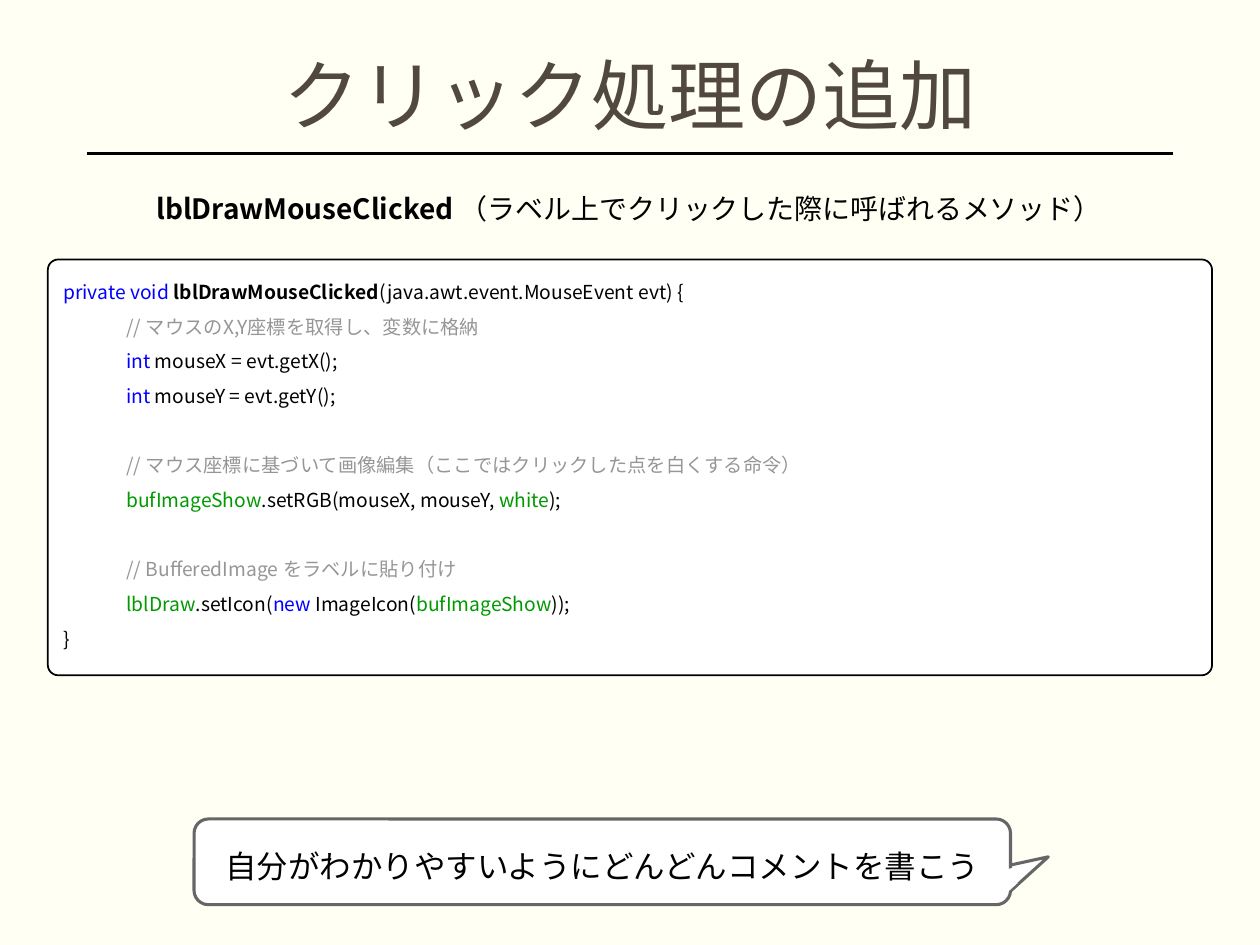
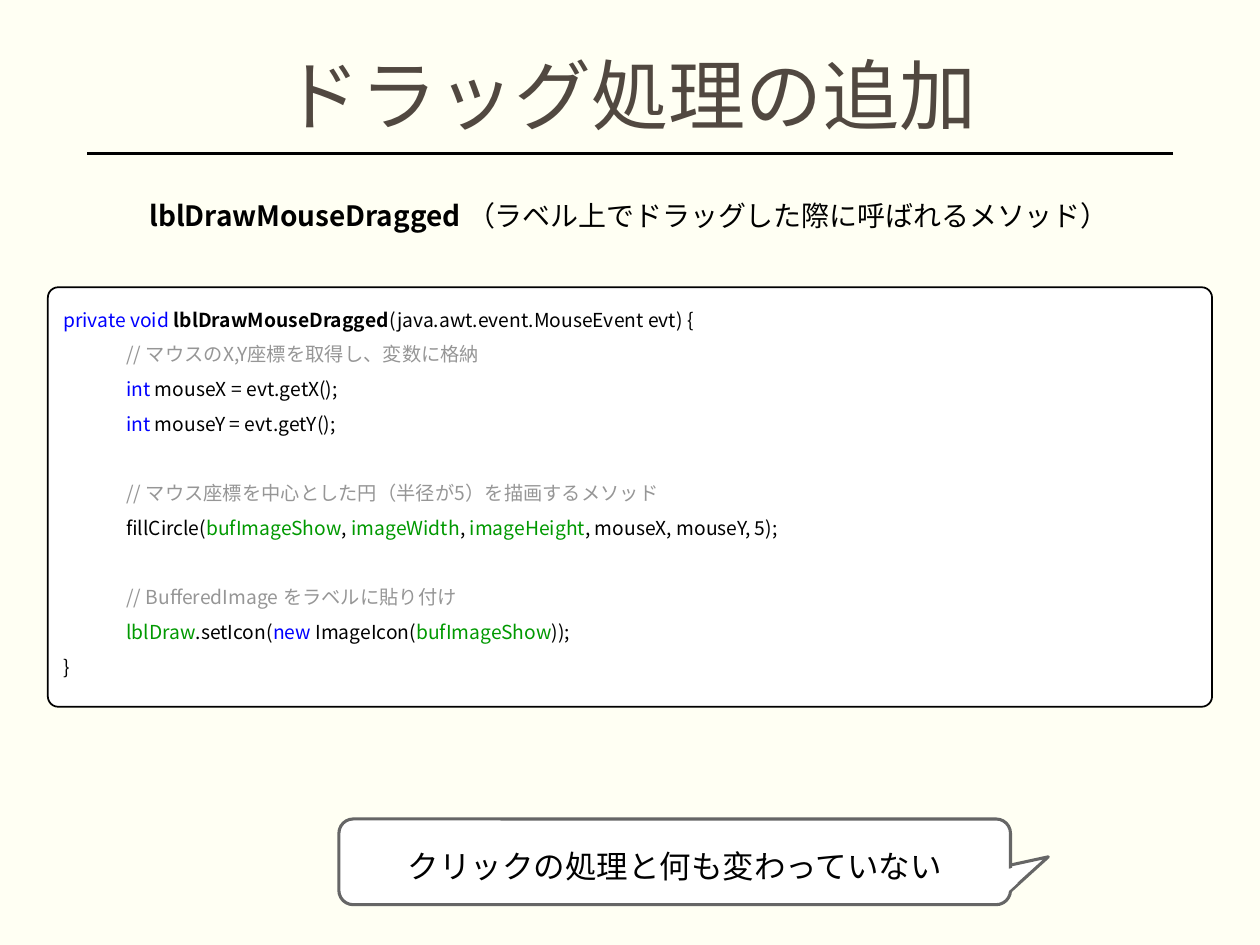
"""Build two slides that explain mouse click and drag handlers."""
from dataclasses import dataclass

from lxml import etree
from pptx import Presentation
from pptx.dml.color import RGBColor
from pptx.enum.shapes import MSO_CONNECTOR, MSO_SHAPE
from pptx.enum.text import MSO_ANCHOR, PP_ALIGN
from pptx.oxml.ns import qn
from pptx.util import Pt

PX = 9144
BLANK_LAYOUT = 6
STRAIGHT = MSO_CONNECTOR.STRAIGHT
RECT, ROUND_RECT = MSO_SHAPE.RECTANGLE, MSO_SHAPE.ROUNDED_RECTANGLE
TOP, MIDDLE = MSO_ANCHOR.TOP, MSO_ANCHOR.MIDDLE
LEFT, CENTER = PP_ALIGN.LEFT, PP_ALIGN.CENTER


@dataclass(frozen=True)
class Theme:
    """Font, colours and type sizes that the slides share."""
    font: str = "Noto Sans CJK JP"
    background: str = "FFFFF3"
    title: str = "514840"
    ink: str = "000000"
    paper: str = "FFFFFF"
    callout_edge: str = "666666"
    keyword: str = "0000FF"
    comment: str = "969696"
    field: str = "009900"
    title_size: int = 44
    callout_size: int = 18
    heading_size: int = 16
    code_size: int = 11
    code_gap: float = 19.8


THEME = Theme()


def rgb(value):
    """Turn a hex string into a colour."""
    return RGBColor.from_string(value)


def px(*lengths):
    """Turn px lengths into EMU."""
    return [length * PX for length in lengths]


def add_run(paragraph, text, size, color=THEME.ink, bold=False):
    """Append one styled run to a paragraph."""
    run = paragraph.add_run()
    run.text = text
    font = run.font
    font.size, font.bold, font.name = Pt(size), bold, THEME.font
    font.color.rgb = rgb(color)
    east_asian = etree.SubElement(run._r.get_or_add_rPr(), qn("a:ea"))
    east_asian.set("typeface", THEME.font)


def set_frame(frame, anchor=TOP, wrap=True, top=5):
    """Set the anchor, wrapping and insets of a text frame."""
    frame.word_wrap, frame.vertical_anchor = wrap, anchor
    frame.margin_left, frame.margin_top, frame.margin_right, frame.margin_bottom = px(10, top, 10, 5)


def paint(shape, edge=None, width=1.0):
    """Fill a shape with paper colour and give it an edge or none."""
    shape.shadow.inherit = False
    shape.fill.solid()
    shape.fill.fore_color.rgb = rgb(THEME.paper)
    if edge:
        shape.line.color.rgb = rgb(edge)
        shape.line.width = Pt(width)
    else:
        shape.line.fill.background()


def add_line_of_text(slide, box, runs, anchor=TOP, spacing=None):
    """Add a centred text box with one paragraph."""
    frame = slide.shapes.add_textbox(*px(*box)).text_frame
    set_frame(frame, anchor)
    paragraph = frame.paragraphs[0]
    paragraph.alignment, paragraph.line_spacing = CENTER, spacing
    for run in runs:
        add_run(paragraph, *run)


def add_title(slide, title):
    """Add the slide title and the rule below it."""
    rule = slide.shapes.add_connector(STRAIGHT, *px(931, 122, 69, 122))
    rule.line.color.rgb = rgb(THEME.ink)
    rule.line.width = Pt(2)
    etree.SubElement(rule._element.spPr, qn("a:effectLst"))
    add_line_of_text(slide, (69, 36, 862, 86), [(title, THEME.title_size, THEME.title)], MIDDLE, 0.9)


def add_heading(slide, top, method, meaning):
    """Add the method name with its explanation."""
    runs = [(method + " ", THEME.heading_size, THEME.ink, True), (meaning, THEME.heading_size)]
    add_line_of_text(slide, (60, top, 879, 37), runs)


def add_code_line(paragraph, tokens, indented=True, gap=0):
    """Write one line of coloured code."""
    paragraph.alignment, paragraph.line_spacing = LEFT, 1.5
    paragraph.space_before = Pt(gap)
    if indented:
        properties = paragraph._p.get_or_add_pPr()
        properties.set("marL", str(50 * PX))
        properties.set("indent", "0")
    for text, *style in tokens:
        add_run(paragraph, text, THEME.code_size, *style)


def add_code(slide, top, height, method, drawing):
    """Add the code panel of one mouse handler."""
    panel = slide.shapes.add_shape(ROUND_RECT, *px(38, top, 924, height))
    panel.adjustments[0] = 0.025
    paint(panel, THEME.ink)
    frame = panel.text_frame
    set_frame(frame)
    signature = [("private void ", THEME.keyword), (method, THEME.ink, True),
                 ("(java.awt.event.MouseEvent evt) {",)]
    add_code_line(frame.paragraphs[0], signature, indented=False)
    coordinates = [[("// マウスのX,Y座標を取得し、変数に格納", THEME.comment)]]
    coordinates += [[("int ", THEME.keyword), (f"mouse{axis} = evt.get{axis}();",)] for axis in "XY"]
    display = [
        [("// BufferedImage をラベルに貼り付け", THEME.comment)],
        [("lblDraw", THEME.field), (".setIcon(",), ("new ", THEME.keyword),
         ("ImageIcon(",), ("bufImageShow", THEME.field), ("));",)],
    ]
    for step, lines in enumerate((coordinates, drawing, display)):
        for number, tokens in enumerate(lines):
            gap = THEME.code_gap if step and not number else 0
            add_code_line(frame.add_paragraph(), tokens, gap=gap)
    add_code_line(frame.add_paragraph(), [("}",)], indented=False)


def add_callout(slide, left, remark):
    """Add a speech balloon whose tail points right."""
    right = 802
    outline = slide.shapes.build_freeform(800, 687, scale=PX)
    outline.add_line_segments([(832, 680), (800, 709)], close=True)
    paint(outline.convert_to_shape(), THEME.callout_edge, 1.75)

    balloon = slide.shapes.add_shape(ROUND_RECT, *px(left, 650, right - left, 68))
    paint(balloon, THEME.callout_edge, 1.75)
    set_frame(balloon.text_frame, MIDDLE, wrap=False, top=12)
    paragraph = balloon.text_frame.paragraphs[0]
    paragraph.alignment = CENTER
    add_run(paragraph, remark, THEME.callout_size)

    opening = slide.shapes.add_group_shape()
    for box, angle in (((794, 686, 9, 17), 78), ((797, 696, 8, 11), 47.5)):
        cover = opening.shapes.add_shape(RECT, *px(*box))
        cover.rotation = angle
        paint(cover)


def add_handler_slide(deck, title, heading_top, method, meaning, code_top, code_height,
                      drawing, callout_left, remark):
    """Add one slide about a mouse handler."""
    slide = deck.slides.add_slide(deck.slide_layouts[BLANK_LAYOUT])
    slide.background.fill.solid()
    slide.background.fill.fore_color.rgb = rgb(THEME.background)
    add_title(slide, title)
    add_code(slide, code_top, code_height, method, drawing)
    add_heading(slide, heading_top, method, meaning)
    add_callout(slide, callout_left, remark)


def main():
    """Build and save the deck."""
    deck = Presentation()
    deck.slide_width, deck.slide_height = px(1000, 750)
    white_point = [
        [("// マウス座標に基づいて画像編集（ここではクリックした点を白くする命令）", THEME.comment)],
        [("bufImageShow", THEME.field), (".setRGB(mouseX, mouseY, ",), ("white", THEME.field), (");",)],
    ]
    circle = [
        [("// マウス座標を中心とした円（半径が5）を描画するメソッド", THEME.comment)],
        [("fillCircle(",), ("bufImageShow", THEME.field), (", ",), ("imageWidth", THEME.field),
         (", ",), ("imageHeight", THEME.field), (", mouseX, mouseY, 5);",)],
    ]
    add_handler_slide(
        deck, "クリック処理の追加", 147, "lblDrawMouseClicked",
        "（ラベル上でクリックした際に呼ばれるメソッド）", 206, 330, white_point,
        154, "自分がわかりやすいようにどんどんコメントを書こう")
    add_handler_slide(
        deck, "ドラッグ処理の追加", 153, "lblDrawMouseDragged",
        "（ラベル上でドラッグした際に呼ばれるメソッド）", 228, 333, circle,
        269, "クリックの処理と何も変わっていない")
    deck.save("out.pptx")


if __name__ == "__main__":
    main()
